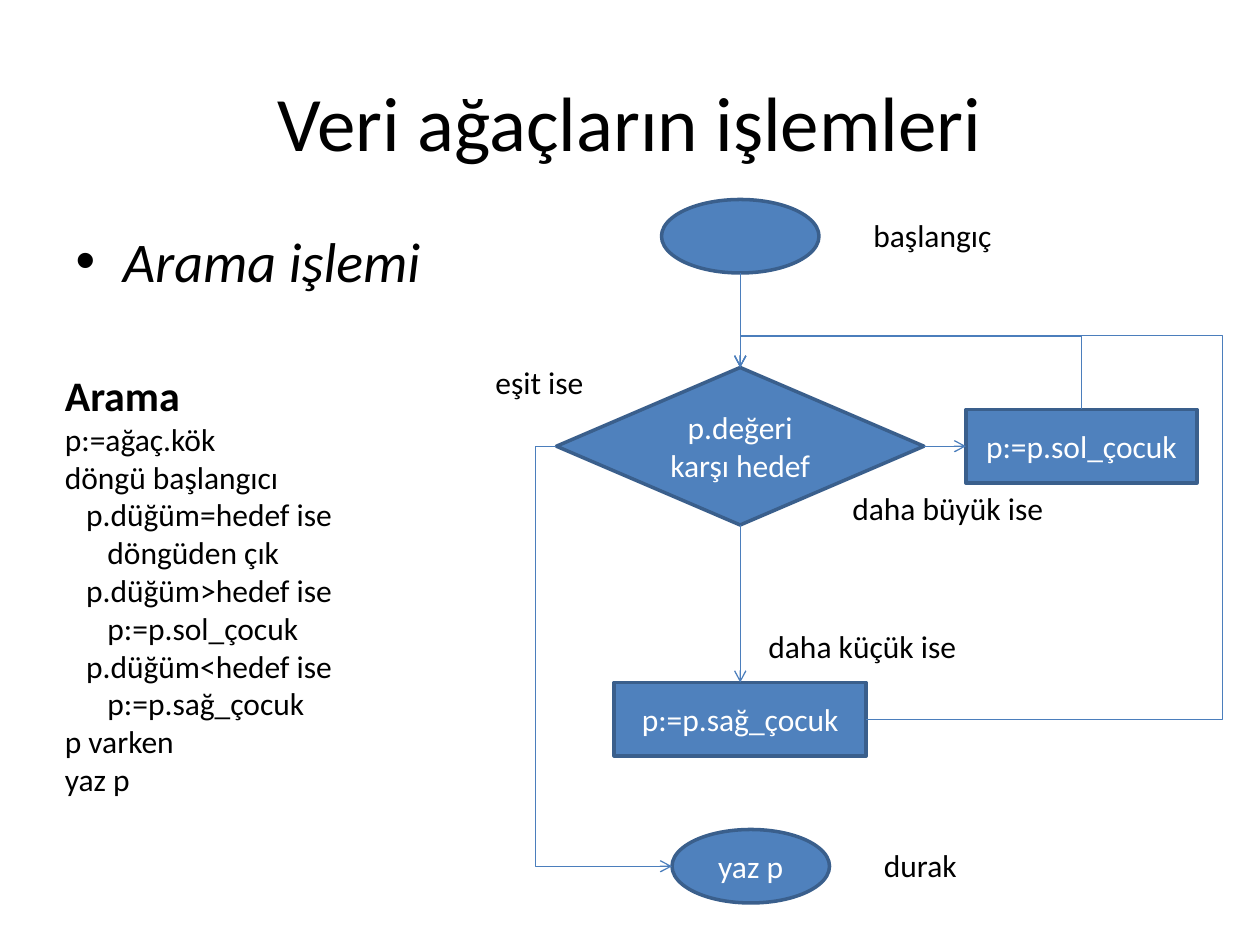
import pptx
import pptx.util
import pptx.dml.color
import pptx.enum.shapes
import pptx.enum.text
import pptx.oxml
import pptx.oxml.ns

Pt = pptx.util.Pt
SHAPE = pptx.enum.shapes.MSO_SHAPE
LINK = pptx.enum.shapes.MSO_CONNECTOR
ALIGN = pptx.enum.text.PP_ALIGN
ANCHOR = pptx.enum.text.MSO_ANCHOR
COLORS = {"text": "000000", "light": "FFFFFF", "fill": "4F81BD",
          "edge": "3A5F8C", "arrow": "4B7EBC"}
A_NS = pptx.oxml.ns.nsdecls("a")


def rgb(name):
    return pptx.dml.color.RGBColor.from_string(COLORS[name])


def style(font, color="text", **values):
    font.color.rgb = rgb(color)
    for key, value in ({"name": "Calibri", "size": Pt(18)} | values).items():
        setattr(font, key, value)


def set_box(sp, box):
    for key, value in zip(("left", "top", "width", "height"), box):
        setattr(sp, key, Pt(value))


def add_placeholder(sp, box, text, **values):
    set_box(sp, box)
    p = sp.text_frame.paragraphs[0]
    r = p.add_run()
    r.text = text
    style(r.font, **values)


def add_text(s, box, paragraphs):
    """Unwrapped text box; a vertical tab is a line break."""
    tf = s.shapes.add_textbox(*map(Pt, box)).text_frame
    tf.word_wrap = False
    tf.auto_size = pptx.enum.text.MSO_AUTO_SIZE.SHAPE_TO_FIT_TEXT
    for i, text in enumerate(paragraphs):
        p = tf.add_paragraph() if i else tf.paragraphs[0]
        p.text = text
        for r in p.runs:
            style(r.font)
    return tf


def add_node(s, kind, box, text=""):
    sp = s.shapes.add_shape(kind, *map(Pt, box))
    sp.shadow.inherit = False
    sp.fill.solid()
    sp.fill.fore_color.rgb = rgb("fill")
    sp.line.color.rgb = rgb("edge")
    sp.line.width = Pt(2)
    tf = sp.text_frame
    tf.word_wrap = True
    tf.vertical_anchor = ANCHOR.MIDDLE
    p = tf.paragraphs[0]
    p.alignment = ALIGN.CENTER
    if text:
        r = p.add_run()
        r.text = text
        style(r.font, "light")


def add_arrow(s, start, end, bends=(), upright=False):
    """Arrow; bends are the elbow adjustments, upright leaves vertically."""
    (x1, y1), (x2, y2) = start, end
    if upright:  # lay the elbow on its side, then turn it about its centre
        cx, cy = (x1 + x2) / 2, (y1 + y2) / 2
        dx, dy = abs(x2 - x1) / 2, abs(y2 - y1) / 2
        x1, y1, x2, y2 = cx - dy, cy + dx, cx + dy, cy - dx
    kind = LINK.ELBOW if bends else LINK.STRAIGHT
    c = s.shapes.add_connector(kind, *map(Pt, (x1, y1, x2, y2)))
    c.line.color.rgb = rgb("arrow")
    c.line.width = Pt(0.75)
    pr = c._element.spPr
    if upright:
        pr.find(pptx.oxml.ns.qn("a:xfrm")).set("rot", str(270 * 60000))
    if bends:
        geom = pr.find(pptx.oxml.ns.qn("a:prstGeom"))
        geom.set("prst", f"bentConnector{len(bends) + 2}")
        guides = geom.find(pptx.oxml.ns.qn("a:avLst"))
        for i, bend in enumerate(bends, 1):
            guides.append(pptx.oxml.parse_xml(
                f'<a:gd {A_NS} name="adj{i}" fmla="val {round(bend * 100000)}"/>'))
    pr.find(pptx.oxml.ns.qn("a:ln")).append(
        pptx.oxml.parse_xml(f'<a:tailEnd {A_NS} type="arrow"/>'))
    pr.append(pptx.oxml.parse_xml(f"<a:effectLst {A_NS}/>"))


def add_pseudocode(s, box):
    tf = add_text(s, box, [
        "Arama\vp:=ağaç.kök",
        "döngü başlangıcı\v   p.düğüm=hedef ise\v      döngüden çık",
        "   p.düğüm>hedef ise\v      p:=p.sol_çocuk\v"
        "   p.düğüm<hedef ise\v      p:=p.sağ_çocuk",
        "p varken",
        "yaz p"])
    style(tf.paragraphs[0].runs[0].font, size=Pt(24), bold=True)


def add_flowchart(s, box):
    x, y, w, h = box
    mid = x + 147               # axis of the main flow
    test_y, right_y = y + 141, y + 297
    test_top, test_bottom = test_y - 45, test_y + 45
    loop_x, loop_y = x + w, test_top - 18
    exit_x = x + 30

    # Nodes
    add_node(s, SHAPE.OVAL, (mid - 45, y, 90, 42))
    add_node(s, SHAPE.FLOWCHART_DECISION, (mid - 105, test_top, 210, 90),
             "p.değeri karşı hedef")
    add_node(s, SHAPE.RECTANGLE, (mid - 72, right_y - 21, 144, 42),
             "p:=p.sağ_çocuk")
    add_node(s, SHAPE.RECTANGLE, (mid + 129, test_y - 21, 132, 42),
             "p:=p.sol_çocuk")
    add_node(s, SHAPE.OVAL, (mid - 39, y + h - 42, 90, 42), "yaz p")

    # Straight arrows
    add_arrow(s, (mid, y + 42), (mid, test_top))
    add_arrow(s, (mid + 105, test_y), (mid + 129, test_y))
    add_arrow(s, (mid, test_bottom), (mid, right_y - 21))

    # Loops back to the test, and the way out
    left_top = test_y - 21
    add_arrow(s, (mid + 195, left_top), (mid, test_top),
              [(left_top - loop_y) / (left_top - test_top)], upright=True)
    add_arrow(s, (mid + 72, right_y), (mid, test_top),
              [-(loop_x - mid - 72) / 72,
               (right_y - loop_y) / (right_y - test_top)])
    add_arrow(s, (mid - 105, test_y), (mid - 39, y + h - 21),
              [(exit_x - mid + 105) / 66])

    # Labels
    for dx, dy, width, text in [(216, 6, 83, "başlangıç"),
                                (222, 366, 57, "durak"),
                                (204, 162, 125, "daha büyük ise"),
                                (156, 241, 123, "daha küçük ise"),
                                (0, 90, 65.5, "eşit ise")]:
        add_text(s, (x + dx, y + dy, width, 29), [text])


def main():
    prs = pptx.Presentation()
    prs.slide_width, prs.slide_height = Pt(720), Pt(540)
    s = prs.slides.add_slide(prs.slide_layouts[1])
    add_placeholder(s.shapes.title, (36, 24, 648, 90),
                    "Veri ağaçların işlemleri", size=Pt(44))
    add_placeholder(s.placeholders[1], (36, 126, 648, 356),
                    "Arama işlemi", size=Pt(32), italic=True)
    add_pseudocode(s, (30, 207.5, 169, 254))
    add_flowchart(s, (276, 114, 422.5, 402))
    prs.save("out.pptx")


if __name__ == "__main__":
    main()
